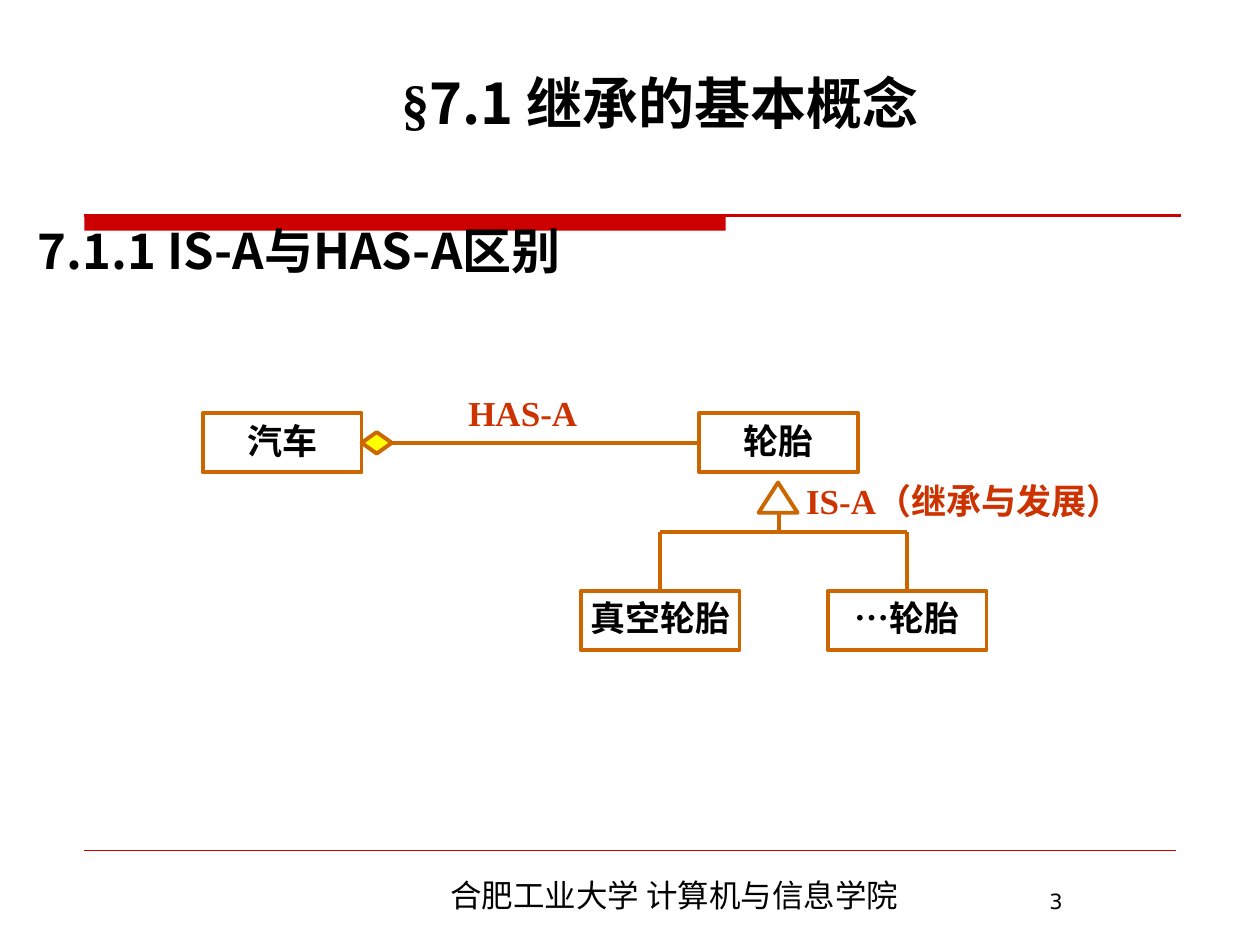
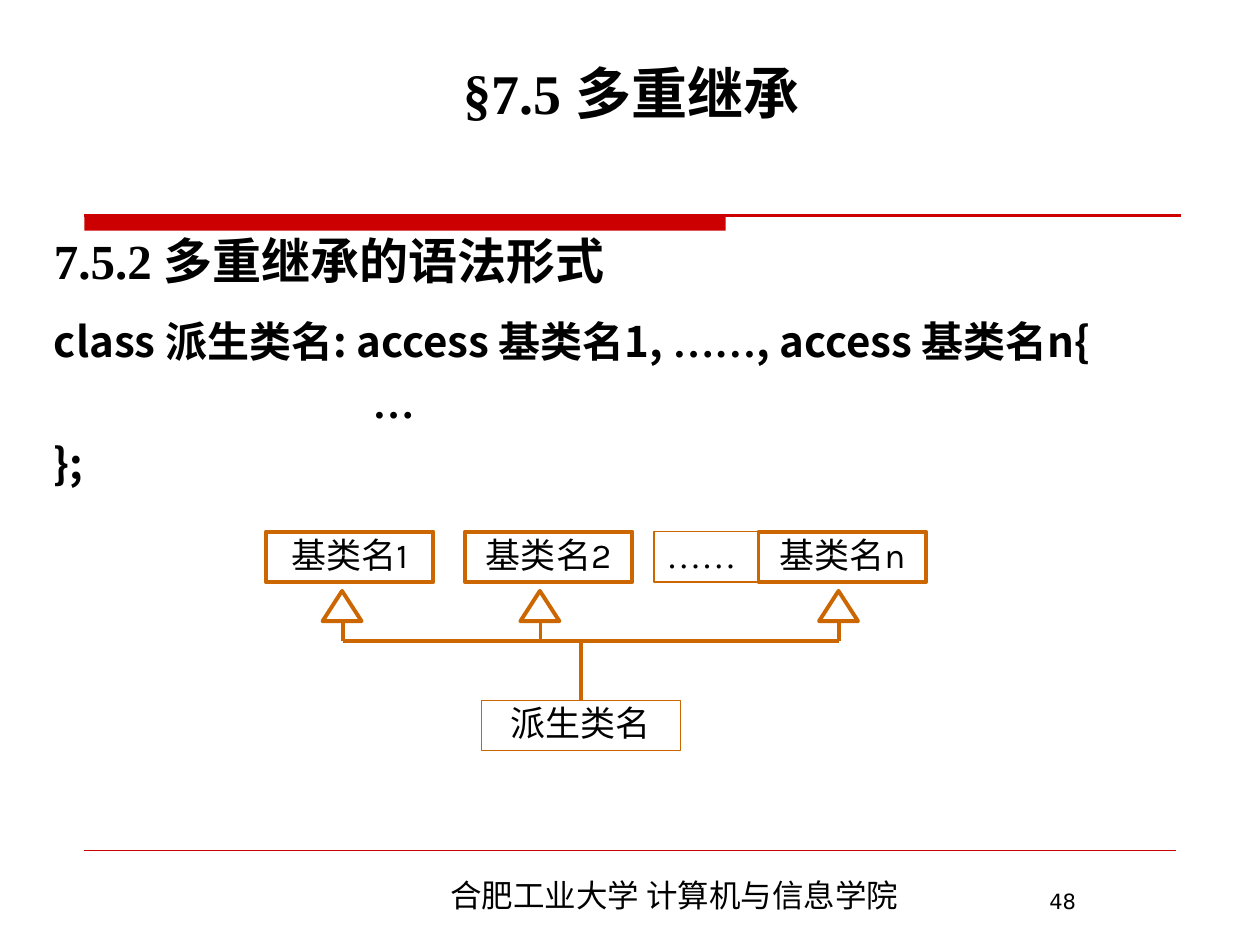
from dataclasses import dataclass
from lxml.etree import SubElement
from pptx import Presentation
from pptx.dml.color import RGBColor as RGB
from pptx.enum.shapes import MSO_CONNECTOR as Conn, MSO_SHAPE as Kind
from pptx.enum.text import MSO_ANCHOR as Anchor, PP_ALIGN as Align
from pptx.oxml.ns import qn
from pptx.util import Inches, Pt


@dataclass(frozen=True)
class Theme:
    ink: str = "000000"
    red: str = "CC0000"
    rust: str = "CC3300"
    wood: str = "CC6600"
    gold: str = "FFFF00"
    serif: str = "Times New Roman"
    sans: str = "Noto Sans CJK SC"
    node: str = "Karla"
    num: str = "DejaVu Sans"
    title: int = 32
    head: int = 28
    code: int = 24
    label: int = 20
    foot: int = 18
    page: int = 12
    thick: float = 2.25
    rule: float = 1.25
    thin: float = 0.75
    hair: float = 0.25


T = Theme()

SCHOOL = "合肥工业大学 计算机与信息学院"

BASIC = {
    "page": "3",
    "title": [("§", T.serif), ("7.1 ", T.sans), ("继承", T.serif), ("的基本概念", T.sans)],
    "spot": (0.98, 0.28, 8.52, 0.85),
    "body": (0.2, 1.7, 9.6, 5.48),
    "paras": [{"runs": [("7.1.1 IS-A与HAS-A区别", T.sans)], "size": T.head}],
}
MULTI = {
    "page": "48",
    "title": [("§7.5 多重继承", T.serif)],
    "spot": (0.75, 0.36, 8.52, 0.69),
    "body": (0.33, 1.78, 9.46, 4.93),
    "paras": [
        {"runs": [("7.5.2 多重继承的语法形式", T.serif)], "size": T.head},
        {"runs": [("class 派生类名: access 基类名1, ", T.sans), ("……", T.serif),
                  (", access 基类名n{", T.sans)], "size": T.code, "gap": 15},
        {"runs": [("…", T.serif)], "size": T.code, "gap": 6, "left": 2.53},
        {"runs": [("};", T.sans)], "size": T.code, "gap": 6},
    ],
}

CAR = ([("汽车", T.node)], 1.61, 3.28)
TYRE = ([("轮胎", T.node)], 5.55, 3.28)
KINDS = [
    ([("真空轮胎", T.node)], 4.61, 4.69),
    ([("…", T.serif), ("轮胎", T.node)], 6.57, 4.69),
]
LABELS = [
    ("HAS-A", (3.4, 2.89, 1.5, 0.6)),
    ("IS-A（继承与发展）", (6.15, 3.59, 3.0, 0.6)),
]
BASES = [("基类名1", 2.11, 2.72), ("基类名2", 3.69, 4.29), ("基类名n", 6.02, 6.66)]


def rgb(code):
    return RGB.from_string(code)


def inch(nums):
    return [Inches(n) for n in nums]


def write(frame, paras, size=T.label, bold=False, color=T.ink, align=Align.LEFT,
          anchor=Anchor.TOP, wrap=True, inset=(0.1, 0.05), lead=None):
    frame.word_wrap = wrap
    frame.vertical_anchor = anchor
    frame.margin_left = frame.margin_right = Inches(inset[0])
    frame.margin_top = frame.margin_bottom = Inches(inset[1])
    for i, item in enumerate(paras):
        para = frame.add_paragraph() if i else frame.paragraphs[0]
        para.alignment = align
        if lead:
            para.line_spacing = lead
        if "gap" in item:
            para.space_before = Pt(item["gap"])
        if "left" in item:
            para._p.get_or_add_pPr().set("marL", str(Inches(item["left"])))
        for text, face in item["runs"]:
            run = para.add_run()
            run.text = text
            font = run.font
            font.size = Pt(item.get("size", size))
            font.bold = bold
            font.color.rgb = rgb(color)
            font.name = face
            SubElement(run._r.get_or_add_rPr(), qn("a:ea"), typeface=T.sans)


def note(slide, spot, paras, **fmt):
    box = slide.shapes.add_textbox(*inch(spot))
    write(box.text_frame, paras, **fmt)


def draw(slide, kind, spot, fill=None, line=T.wood, width=T.thick):
    part = slide.shapes.add_shape(kind, *inch(spot))
    part.shadow.inherit = False
    if fill:
        part.fill.solid()
        part.fill.fore_color.rgb = rgb(fill)
    else:
        part.fill.background()
    if line:
        part.line.color.rgb = rgb(line)
        part.line.width = Pt(width)
    else:
        part.line.fill.background()
    return part


def link(slide, start, end, color=T.wood, width=T.thick, tail=None, head=None):
    wire = slide.shapes.add_connector(Conn.STRAIGHT, *inch(start + end))
    wire.line.color.rgb = rgb(color)
    wire.line.width = Pt(width)
    SubElement(wire._element.spPr, qn("a:effectLst"))
    if tail:
        wire.begin_connect(*tail)
    if head:
        wire.end_connect(*head)


def arrow(slide, x, top, rail):
    draw(slide, Kind.ISOSCELES_TRIANGLE, (x - 0.16, top, 0.31, 0.24))
    link(slide, (x, top + 0.24), (x, rail))


def frame(deck, page):
    slide = deck.slides.add_slide(deck.slide_layouts[6])
    draw(slide, Kind.RECTANGLE, (0.67, 1.71, 5.09, 0.12), fill=T.red, line=None)
    link(slide, (0.67, 1.71), (9.37, 1.71), color=T.red, width=T.rule)
    link(slide, (0.67, 6.75), (9.33, 6.75), color=T.red, width=T.hair)
    note(slide, (2.32, 6.9, 6.06, 0.4), [{"runs": [(SCHOOL, T.sans)]}],
         size=T.foot, align=Align.CENTER)
    note(slide, (8.23, 7, 1.5, 0.29), [{"runs": [(page["page"], T.num)]}], size=T.page)
    note(slide, page["spot"], [{"runs": page["title"]}], size=T.title, bold=True,
         align=Align.CENTER, anchor=Anchor.BOTTOM)
    note(slide, page["body"], page["paras"], bold=True)
    return slide


def entity(slide, runs, x, y):
    box = draw(slide, Kind.RECTANGLE, (x, y, 1.26, 0.47))
    write(box.text_frame, [{"runs": runs}], bold=True, align=Align.CENTER,
          anchor=Anchor.MIDDLE, wrap=False, inset=(0, 0), lead=0.9)
    return box


def cell(slide, text, spot, face=T.node, width=T.thick, align=Align.CENTER):
    box = draw(slide, Kind.RECTANGLE, spot, width=width)
    write(box.text_frame, [{"runs": [(text, face)]}], align=align, lead=0.9)
    return box


def basic(deck):
    slide = frame(deck, BASIC)
    entity(slide, *CAR)
    tyre = entity(slide, *TYRE)
    gem = draw(slide, Kind.DIAMOND, (2.87, 3.43, 0.24, 0.17), fill=T.gold)
    link(slide, (3.11, 3.51), (5.55, 3.51), tail=(gem, 3), head=(tyre, 1))
    rail = 4.22
    arrow(slide, 6.18, 3.83, rail)
    mids = []
    for runs, x, y in KINDS:
        box = entity(slide, runs, x, y)
        mid = x + 0.63
        link(slide, (mid, rail), (mid, y), head=(box, 0))
        mids.append(mid)
    link(slide, (mids[0], rail), (mids[-1], rail))
    for text, spot in LABELS:
        note(slide, spot, [{"runs": [(text, T.serif)]}], bold=True, color=T.rust,
             align=Align.CENTER, wrap=False, lead=1.5)


def multi(deck):
    slide = frame(deck, MULTI)
    rail = 5.09
    for text, x, axis in BASES:
        cell(slide, text, (x, 4.22, 1.33, 0.4))
        arrow(slide, axis, 4.69, rail)
    cell(slide, "……", (5.19, 4.22, 0.83, 0.4), face=T.serif, width=T.thin,
         align=Align.JUSTIFY)
    child = cell(slide, "派生类名", (3.82, 5.56, 1.58, 0.4), width=T.thin)
    link(slide, (BASES[0][2], rail), (BASES[-1][2], rail))
    link(slide, (4.61, rail), (4.61, 5.56), head=(child, 0))


def main():
    deck = Presentation()
    deck.slide_width, deck.slide_height = Inches(10), Inches(7.5)
    basic(deck)
    multi(deck)
    deck.save("out.pptx")


if __name__ == "__main__":
    main()
